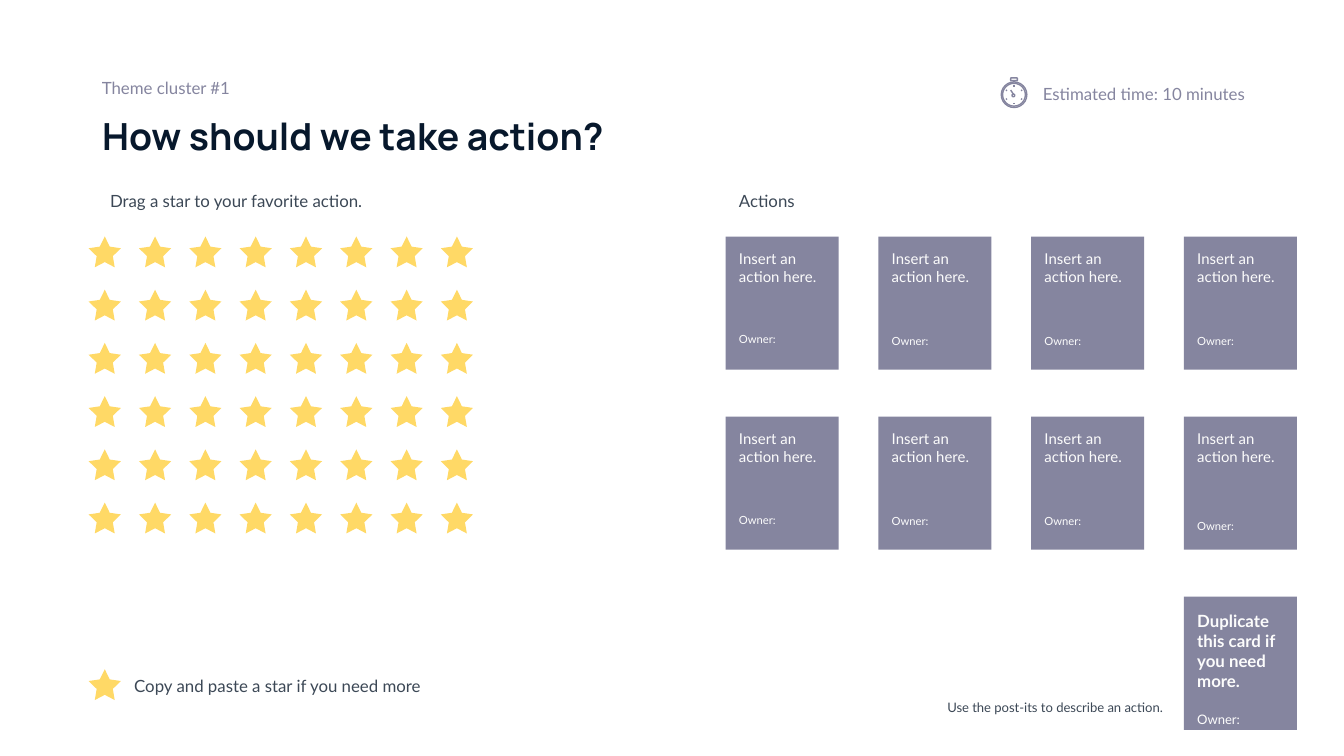
from math import cos, pi, sin
from lxml import etree
from pptx import Presentation
from pptx.dml.color import RGBColor
from pptx.enum.shapes import MSO_CONNECTOR, MSO_SHAPE
from pptx.enum.text import MSO_ANCHOR, MSO_AUTO_SIZE, PP_ALIGN
from pptx.oxml.ns import qn
from pptx.util import Inches, Pt

RECT, STAR, OVAL = MSO_SHAPE.RECTANGLE, MSO_SHAPE.STAR_5_POINT, MSO_SHAPE.OVAL
ROUND, LINE = MSO_SHAPE.ROUNDED_RECTANGLE, MSO_CONNECTOR.STRAIGHT
TOP, MIDDLE, LEFT = MSO_ANCHOR.TOP, MSO_ANCHOR.MIDDLE, PP_ALIGN.LEFT

WIDTH, HEIGHT = 10, 10 * 9 / 16
COLORS = {"ink": "07182C", "body": "3C4856", "card": "85859F",
          "light": "FCFCFC", "star": "FFD966"}

# Content
TITLE = "How should we take action?"
THEME = "Theme cluster #1"
TIME = "Estimated time: 10 minutes"
NOTES = [  # text, box, size
    ("Drag a star to your favorite action.", (0.72, 1.35, 2.75, 0.27), 9),
    ("Copy and paste a star if you need more", (0.9, 4.96, 2.75, 0.27), 9),
    ("Actions", (5.4, 1.35, 2.75, 0.27), 9),
    ("Use the post-its to describe an action.", (6.95, 5.12, 1.82, 0.27), 7),
]
ACTION, OWNER = "Insert an action here.", "Owner:"
MORE = "Duplicate this card if you need more."
GAPS = [[25.2, 26, 26, 26], [25.2, 26, 26, 28.8]]  # points above owner

# Grids: left, top, column step, row step
STARS, STAR_COLS, STAR_ROWS = (0.66, 1.76, 2.62 / 7, 1.98 / 5), 8, 6
CARDS = (5.4, 1.76, 3.41 / 3, 1.34)

# Stopwatch
RINGS = [(7.45, 0.61, 0.19, 0.19), (7.46, 0.62, 0.17, 0.17), (7.53, 0.7, 0.02, 0.02)]
CROWN = (7.52, 0.58, 0.05, 0.02)
STROKES = [(7.54, 0.61, 7.54, 0.6), (7.55, 0.61, 7.55, 0.6), (7.52, 0.67, 7.54, 0.7)]
TICKS, INNER, OUTER = 6, 0.06, 0.07


def rgb(name):
    return RGBColor.from_string(COLORS[name])


def inch(box):
    return [Inches(v) for v in box]


def cell(grid, col, row):
    left, top, dx, dy = grid
    return left + col * dx, top + row * dy


def write(shape, lines, anchor=TOP, inset=0.1):
    """Each line is text, size, colour, bold, font."""
    frame = shape.text_frame
    frame.word_wrap, frame.auto_size = True, MSO_AUTO_SIZE.NONE
    frame.vertical_anchor = anchor
    frame.margin_left = Inches(inset)
    frame.margin_top = frame.margin_right = frame.margin_bottom = Inches(0.1)
    for i, (text, size, color, bold, face) in enumerate(lines):
        par = frame.add_paragraph() if i else frame.paragraphs[0]
        par.text, par.alignment = text, LEFT
        font = par.font
        font.name, font.size, font.bold = face, Pt(size), bold
        font.color.rgb = rgb(color)
    return frame.paragraphs


def add_box(slide, box, text, size, color, **more):
    shape = slide.shapes.add_textbox(*inch(box))
    return write(shape, [(text, size, color, False, "Lato")], **more)[0]


def add_solid(slide, kind, box, color):
    shape = slide.shapes.add_shape(kind, *inch(box))
    shape.shadow.inherit = False
    shape.fill.solid()
    shape.fill.fore_color.rgb = rgb(color)
    shape.line.fill.background()
    return shape


def add_star(slide, left, top):
    star = add_solid(slide, STAR, (left, top, 0.24, 0.23), "star")
    star.adjustments[0] = 0.25


def add_card(slide, spot, text, size, bold, owner, gap):
    card = add_solid(slide, RECT, (*spot, 0.84, 0.99), "card")
    pars = write(card, [(text, size, "light", bold, "Lato"),
                        (OWNER, owner, "light", False, "Lato")])
    pars[1].space_before = Pt(gap)


def add_watch(slide):
    group = slide.shapes.add_group_shape().shapes
    for kind, box in [(OVAL, ring) for ring in RINGS] + [(ROUND, CROWN)]:
        part = group.add_shape(kind, *inch(box))
        part.shadow.inherit = False
        part.fill.background()
        part.line.color.rgb, part.line.width = rgb("card"), Pt(0.75)
    left, top, size, _ = RINGS[0]
    x, y = left + size / 2, top + size / 2
    turns = [(sin(2 * pi * i / TICKS), cos(2 * pi * i / TICKS)) for i in range(TICKS)]
    marks = [(x + INNER * a, y + INNER * b, x + OUTER * a, y + OUTER * b)
             for a, b in turns]
    for ends in STROKES + marks:
        mark = group.add_connector(LINE, *inch(ends))
        mark.line.color.rgb, mark.line.width = rgb("card"), Pt(0.75)
        etree.SubElement(mark._element.spPr, qn("a:effectLst"))


def main():
    deck = Presentation()
    deck.slide_width, deck.slide_height = inch((WIDTH, HEIGHT))
    slide = deck.slides.add_slide(deck.slide_layouts[5])

    # Heading
    title = slide.shapes.title
    title.left, title.top, title.width, title.height = inch((0.66, 0.74, 6.49, 0.47))
    write(title, [(TITLE, 20, "ink", True, "Manrope")])
    add_box(slide, (0.66, 0.48, 2.14, 0.27), THEME, 9, "card")

    # Time estimate
    add_box(slide, (7.31, 0.53, 2.34, 0.34), TIME, 9, "card", anchor=MIDDLE, inset=0.45)
    add_watch(slide)

    # Instructions
    for text, box, size in NOTES:
        par = add_box(slide, box, text, size, "body", anchor=MIDDLE)
        par.line_spacing, par.space_before, par.space_after = 1.15, Pt(20), Pt(6)

    # Stars, with a spare one below
    for row in range(STAR_ROWS):
        for col in range(STAR_COLS):
            add_star(slide, *cell(STARS, col, row))
    add_star(slide, 0.66, 4.98)

    # Action cards, with a spare one below
    for row, gaps in enumerate(GAPS):
        for col, gap in enumerate(gaps):
            add_card(slide, cell(CARDS, col, row), ACTION, 8, False, 6, gap)
    add_card(slide, cell(CARDS, 3, 2), MORE, 9, True, 7, 10.8)

    deck.save("out.pptx")


if __name__ == "__main__":
    main()
